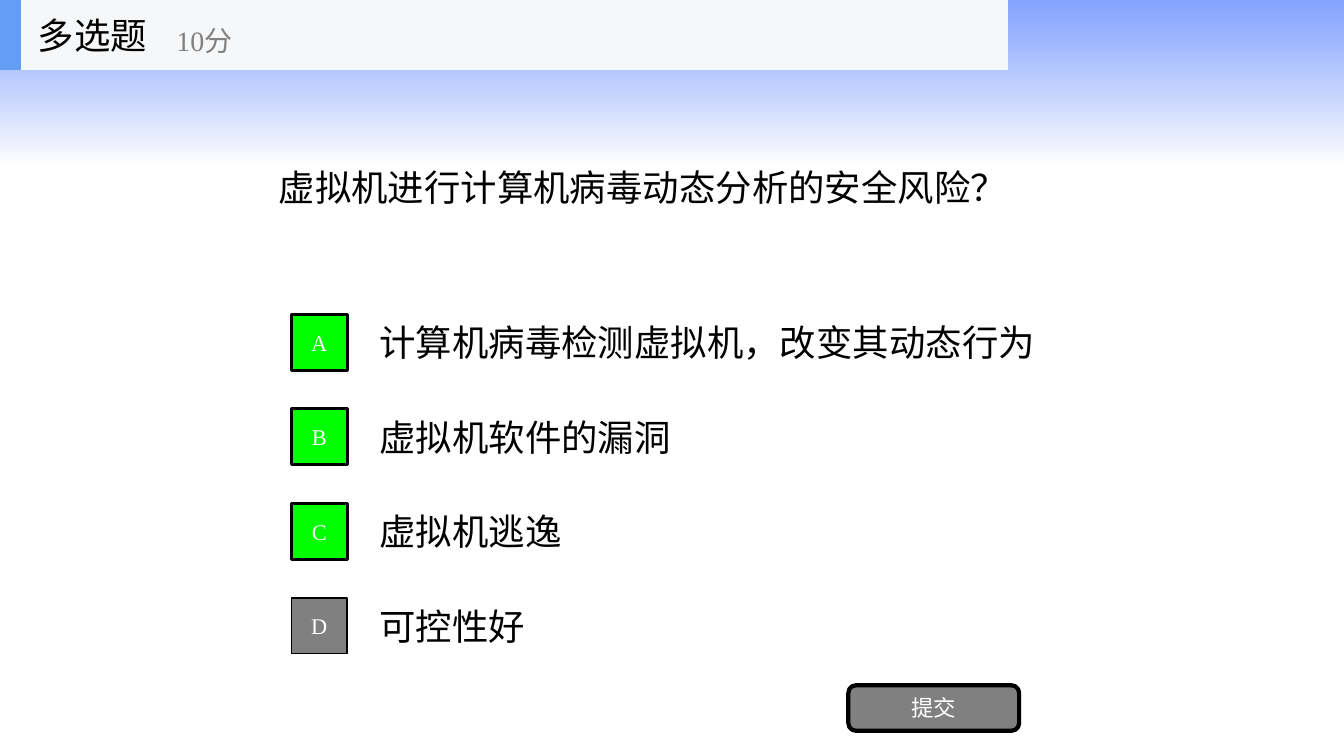
from pptx import Presentation
from pptx.dml.color import RGBColor
from pptx.enum.shapes import MSO_SHAPE
from pptx.enum.text import MSO_ANCHOR, PP_ALIGN
from pptx.oxml.ns import qn
from pptx.util import Pt
from lxml import etree

RECT = MSO_SHAPE.RECTANGLE
ROUND = MSO_SHAPE.ROUNDED_RECTANGLE
MIDDLE = MSO_ANCHOR.MIDDLE
LEFT, CENTER = PP_ALIGN.LEFT, PP_ALIGN.CENTER

BLACK, WHITE, GRAY, GREEN = "000000", "FFFFFF", "808080", "00FF00"
OPTIONS = [
    ("A", "计算机病毒检测虚拟机，改变其动态行为", True),
    ("B", "虚拟机软件的漏洞", True),
    ("C", "虚拟机逃逸", True),
    ("D", "可控性好", False),
]
OPTION_TOP, OPTION_PITCH = 219.5, 67.5
OPTION_HEIGHT, BADGE = 50, 40


def rgb(value):
    return RGBColor.from_string(value)


class QuizSlide:
    font = "Times New Roman"
    text_size = 26
    button_size = 16

    def __init__(self, prs):
        self.slide = prs.slides.add_slide(prs.slide_layouts[6])

    def set_text(self, sp, text, size, color, align):
        tf = sp.text_frame
        tf.word_wrap = True
        tf.vertical_anchor = MIDDLE
        tf.text = text
        p = tf.paragraphs[0]
        p.alignment = align
        font = p.runs[0].font
        font.name = self.font
        font.size = Pt(size)
        font.color.rgb = rgb(color)

    def text(self, x, y, w, h, text, size=text_size, color=BLACK):
        sp = self.slide.shapes.add_textbox(Pt(x), Pt(y), Pt(w), Pt(h))
        self.set_text(sp, text, size, color, LEFT)

    def shape(self, x, y, w, h, fill=None, kind=RECT):
        sp = self.slide.shapes.add_shape(kind, Pt(x), Pt(y), Pt(w), Pt(h))
        sp.shadow.inherit = False
        sp.line.fill.background()
        if fill:
            sp.fill.solid()
            sp.fill.fore_color.rgb = rgb(fill)
        return sp

    def button(self, x, y, w, h, text, fill, line_width, kind=RECT):
        sp = self.shape(x, y, w, h, fill, kind)
        sp.line.color.rgb = rgb(BLACK)
        sp.line.width = Pt(line_width)
        self.set_text(sp, text, self.button_size, WHITE, CENTER)

    def gradient(self, x, y, w, h, stops):
        sp = self.shape(x, y, w, h)
        sp.fill.gradient()
        sp.fill.gradient_angle = 270
        for stop, (color, _) in zip(sp.fill.gradient_stops, stops):
            stop.color.rgb = rgb(color)
        colors = sp._element.spPr.iter(qn("a:srgbClr"))
        for element, (_, opacity) in zip(list(colors), stops):
            etree.SubElement(element, qn("a:alpha"), val=str(opacity * 1000))


def main():
    prs = Presentation()
    prs.slide_width, prs.slide_height = Pt(960), Pt(540)
    s = QuizSlide(prs)

    s.gradient(0, 0, 960, 116.5, [("3366FF", 60), (WHITE, 70)])
    s.text(192, 49.5, 576, 168.5, "虚拟机进行计算机病毒动态分析的安全风险？")

    for i, (letter, answer, correct) in enumerate(OPTIONS):
        y = OPTION_TOP + i * OPTION_PITCH
        s.text(264, y, 504, OPTION_HEIGHT, answer)
        s.button(208, y + (OPTION_HEIGHT - BADGE) / 2, BADGE, BADGE, letter,
                 GREEN if correct else GRAY, 2 if correct else 1)

    s.button(606, 489.5, 122, 32.5, "提交", GRAY, 3, ROUND)

    s.shape(0, 0, 720, 50, "F6F7F8")
    s.shape(0, 0, 15, 50, "639EF4")
    s.text(20, 0, 150, 50, "多选题")
    s.text(119, 9, 180, 40, "10分", 20, GRAY)

    prs.save("out.pptx")


if __name__ == "__main__":
    main()
